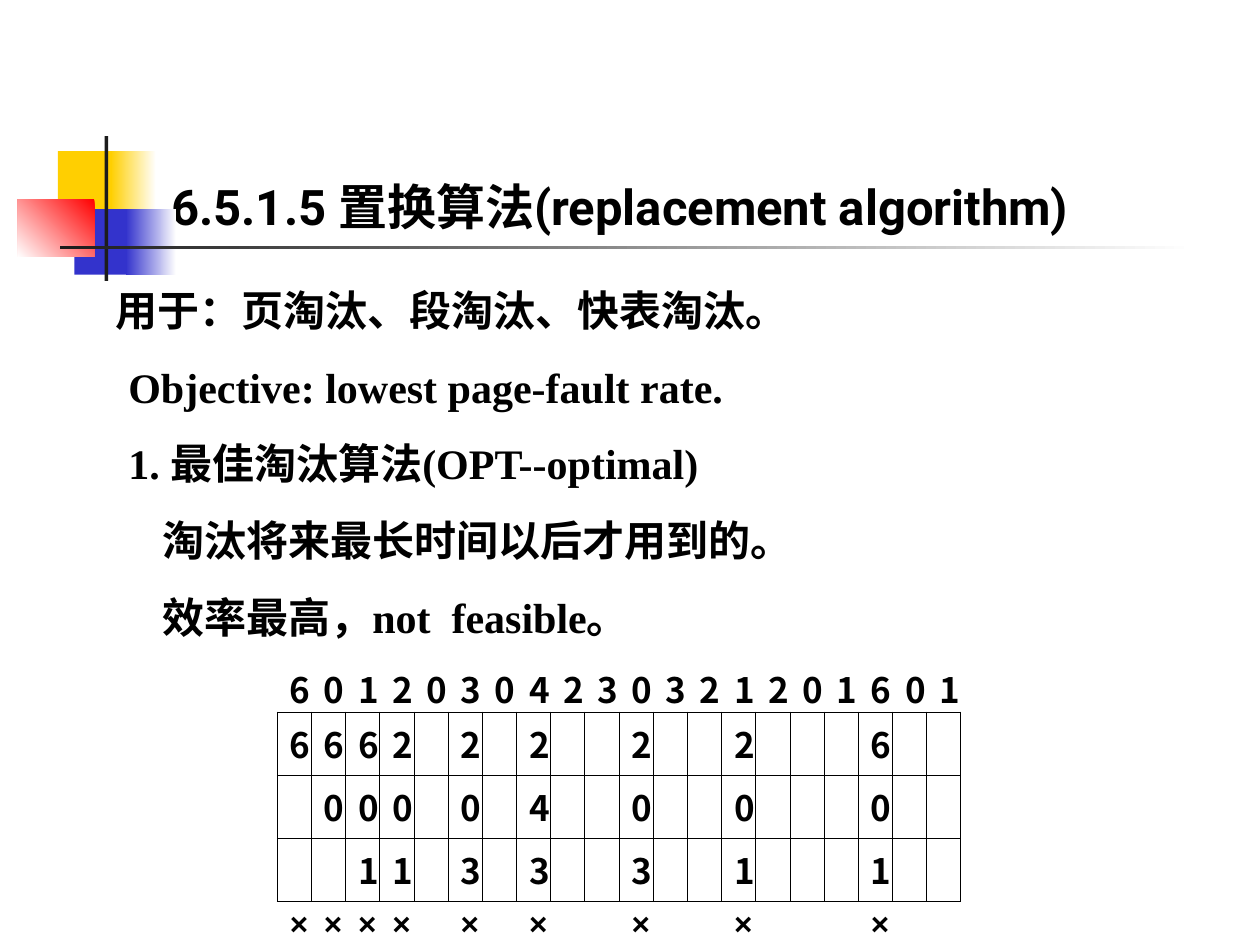
from pptx import Presentation
from pptx.dml.color import RGBColor
from pptx.enum.shapes import MSO_SHAPE
from pptx.enum.text import MSO_ANCHOR, MSO_AUTO_SIZE, PP_ALIGN
from pptx.oxml.ns import qn
from pptx.util import Inches, Pt
from lxml.etree import SubElement

COLORS = {
    "black": "000000", "white": "FFFFFF", "yellow": "FFCF01",
    "blue": "3333CC", "red": "FF0000", "bar": "1C1C1C",
}

# Left, top, width, height, colours (two make a gradient), angle
ORNAMENT = [
    (0.46, 1.2, 0.48, 0.52, ["yellow"], 0),
    (0.88, 1.2, 0.36, 0.52, ["white", "yellow"], 180),
    (0.59, 1.66, 0.46, 0.52, ["blue"], 0),
    (1, 1.66, 0.4, 0.52, ["white", "blue"], 180),
    (0.14, 1.58, 0.61, 0.46, ["red", "white"], 225),
    (0.83, 1.08, 0.03, 1.15, ["bar"], 0),
    (0.48, 1.95, 9, 0.03, ["white", "bar"], 180),
]

# Text and left indent in inches
BODY = [
    ("用于：页淘汰、段淘汰、快表淘汰。", 0.23),
    ("Objective: lowest page-fault rate.", 0.33),
    ("1. 最佳淘汰算法(OPT--optimal)", 0.33),
    ("淘汰将来最长时间以后才用到的。", 0.6),
    ("效率最高，not  feasible。", 0.6),
]

REFERENCES = "60120304230321201601"
# Frames held after each page fault, by column
FAULTS = {0: "6", 1: "60", 2: "601", 3: "201", 5: "203",
          7: "243", 10: "203", 13: "201", 17: "601"}
ROW_HEIGHTS = [0.44, 0.5, 0.5, 0.5, 0.4]
FRAME_COUNT = 3


def rgb(name):
    return RGBColor.from_string(COLORS[name])


def format_text(run, font_name, size):
    values = {"name": font_name, "size": Pt(size), "bold": True}
    for attribute, value in values.items():
        setattr(run.font, attribute, value)
    run.font.color.rgb = rgb("black")


def add_block(slide, left, top, width, height, colors, angle):
    block = slide.shapes.add_shape(
        MSO_SHAPE.RECTANGLE, *map(Inches, (left, top, width, height)))
    block.shadow.inherit = False
    block.line.fill.background()
    if len(colors) == 1:
        block.fill.solid()
        block.fill.fore_color.rgb = rgb(colors[0])
        return
    block.fill.gradient()
    block.fill.gradient_angle = angle
    for stop, color in zip(block.fill.gradient_stops, colors):
        stop.color.rgb = rgb(color)


def set_title(slide, text):
    title = slide.shapes.title
    place = {"left": 1.26, "top": 0.67, "width": 8.52, "height": 1.25}
    for attribute, value in place.items():
        setattr(title, attribute, Inches(value))
    frame = title.text_frame
    frame.auto_size = MSO_AUTO_SIZE.NONE
    frame.vertical_anchor = MSO_ANCHOR.BOTTOM
    paragraph = frame.paragraphs[0]
    paragraph.alignment = PP_ALIGN.LEFT
    run = paragraph.add_run()
    run.text = text
    format_text(run, "Roboto", 28)


def add_body(slide):
    body = slide.shapes.add_textbox(
        Inches(0.59), Inches(2.21), Inches(9), Inches(5.37))
    frame = body.text_frame
    frame.word_wrap = True
    for index, (text, indent) in enumerate(BODY):
        paragraph = frame.add_paragraph() if index else frame.paragraphs[0]
        paragraph.line_spacing = Pt(28.8)
        if index:
            paragraph.space_before = Pt(15)
        paragraph._p.get_or_add_pPr().set("marL", str(Inches(indent)))
        run = paragraph.add_run()
        run.text = text
        format_text(run, "Times New Roman", 24)


def set_borders(cell, visible):
    properties = cell._tc.get_or_add_tcPr()
    for position, side in enumerate("LRTB"):
        line = properties.makeelement(qn(f"a:ln{side}"), {"w": str(Pt(0.45))})
        properties.insert(position, line)
        if side in visible:
            fill = SubElement(line, qn("a:solidFill"))
            SubElement(fill, qn("a:srgbClr"), val=COLORS["black"])
        else:
            SubElement(line, qn("a:noFill"))


def fault_rows():
    columns = range(len(REFERENCES))
    frames = [[FAULTS.get(column, "")[level:level + 1] for column in columns]
              for level in range(FRAME_COUNT)]
    marks = ["×" if column in FAULTS else "" for column in columns]
    return [list(REFERENCES), *frames, marks]


def add_fault_table(slide):
    rows = fault_rows()
    width = Inches(5.43)
    table = slide.shapes.add_table(
        len(rows), len(REFERENCES), Inches(2.2), Inches(5.21),
        width, Inches(sum(ROW_HEIGHTS))).table
    table.first_row = table.horz_banding = False
    for column in table.columns:
        column.width = width // len(REFERENCES)
    last = len(rows) - 1
    for r, values in enumerate(rows):
        table.rows[r].height = Inches(ROW_HEIGHTS[r])
        visible = {0: "B", last: "T"}.get(r, "LRTB")
        for c, value in enumerate(values):
            cell = table.cell(r, c)
            cell.fill.background()
            set_borders(cell, visible)
            if r == 0:
                cell.margin_bottom = 0
            if value:
                run = cell.text_frame.paragraphs[0].add_run()
                run.text = value
                font = ("Arial", 18) if r == last else ("Noto Sans CJK SC", 20)
                format_text(run, *font)


def main():
    presentation = Presentation()
    presentation.slide_width = Inches(10)
    presentation.slide_height = Inches(7.5)
    slide = presentation.slides.add_slide(presentation.slide_layouts[5])

    # Corner ornament and title rule
    for block in ORNAMENT:
        add_block(slide, *block)

    # Title, explanation and page-fault table
    set_title(slide, "6.5.1.5 置换算法(replacement algorithm)")
    add_body(slide)
    add_fault_table(slide)
    presentation.save("out.pptx")


if __name__ == "__main__":
    main()
